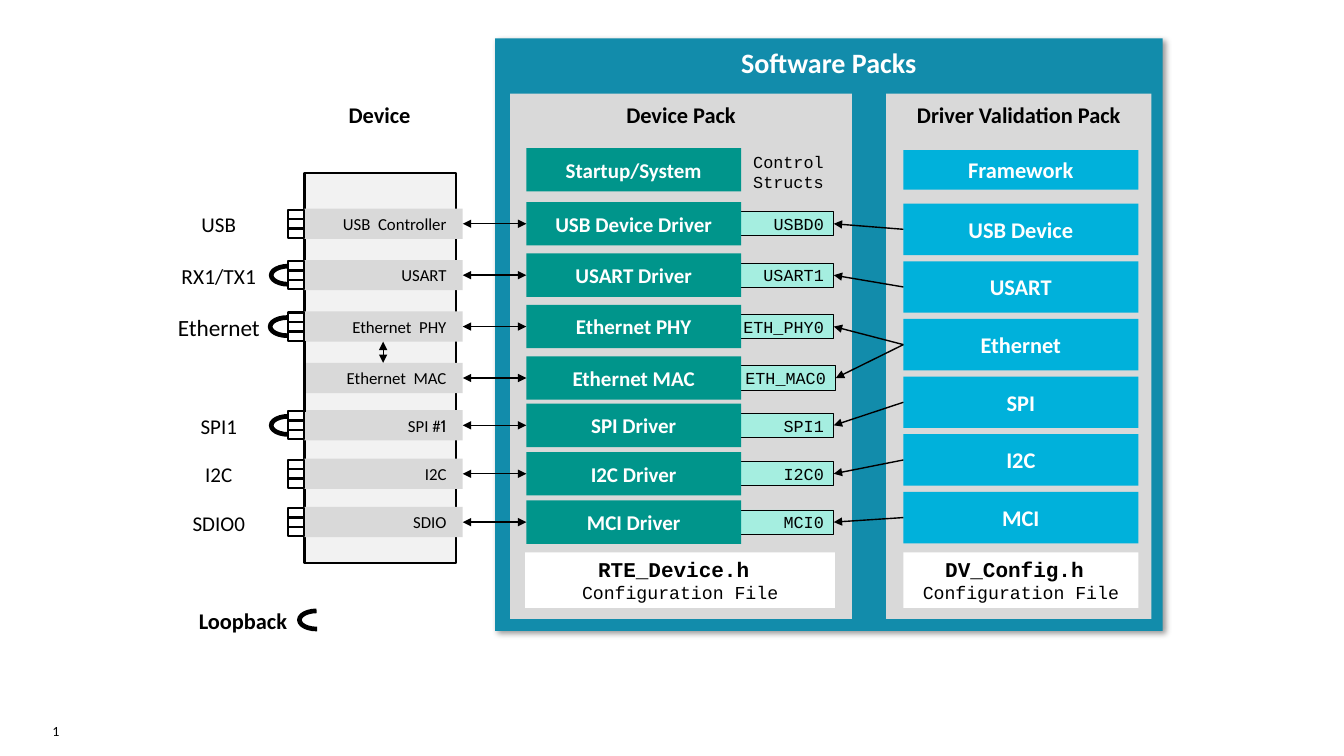
from copy import deepcopy

from lxml import etree
from pptx import Presentation
from pptx.dml.color import RGBColor
from pptx.enum.shapes import MSO_CONNECTOR, MSO_SHAPE
from pptx.enum.text import MSO_ANCHOR, PP_ALIGN
from pptx.oxml.ns import qn
from pptx.util import Inches, Pt

RECT, BLOCK, ARC = MSO_SHAPE.RECTANGLE, MSO_SHAPE.ROUNDED_RECTANGLE, MSO_SHAPE.ARC
STRAIGHT = MSO_CONNECTOR.STRAIGHT
LEFT, CENTER, RIGHT = PP_ALIGN.LEFT, PP_ALIGN.CENTER, PP_ALIGN.RIGHT
TOP, MIDDLE = MSO_ANCHOR.TOP, MSO_ANCHOR.MIDDLE

SANS, MONO, ALT = "Calibri", "Courier New", "Cabin"
BLACK, WHITE, GREY, PALE = "000000", "FFFFFF", "D9D9D9", "F2F2F2"
TEAL, GREEN, MINT, BLUE = "128CAB", "00958B", "A5EEE0", "00B1DB"

CELL = 0.1
PORT_X, PORT_W, PORT_H = 28.6, 1.6, 2.8
DEVICE_X, BAR_W, BAR_H = 30.2, 15.7, 3
DRIVER_X, DRIVER_W, DRIVER_H = 52.2, 21.3, 4.3
STRUCT_X, STRUCT_W, STRUCT_H = 72.5, 10.2, 2.4
TEST_X, TEST_W, TEST_H, TEST_Y, TEST_STEP = 89.6, 23.3, 5.1, 20.2, 5.72
CONFIG_Y, CONFIG_H = 54.8, 5.5
BLOCK_INSETS = (0.13, 0.07, 0.13, 0.07)

# row, port label, label size, loopback shift, peripheral, driver, struct, struct shift
CHANNELS = [
    (22.2, "USB", 15, None, "USB  Controller", "USB Device Driver", "USBD0", 0),
    (27.3, "RX1/TX1", 15.3, 0, "USART", "USART Driver", "USART1", 0),
    (32.4, "Ethernet", 16.6, -0.1, "Ethernet  PHY", "Ethernet PHY", "ETH_PHY0", 0),
    (37.5, None, 0, None, "Ethernet  MAC", "Ethernet MAC", "ETH_MAC0", 0.2),
    (42.2, "SPI1", 15, 0, [("SPI #", {}), ("1", {"font": ALT})], "SPI Driver", "SPI1", 0),
    (47, "I2C", 15, None, "I2C", "I2C Driver", "I2C0", 0),
    (51.8, "SDIO0", 15, None, "SDIO", "MCI Driver", "MCI0", 0),
]
TESTS = [("USB Device", [0]), ("USART", [1]), ("Ethernet", [2, 3]),
         ("SPI", [4]), ("I2C", [5]), ("MCI", [6])]


def cells(*lengths):
    """Turn grid cells into slide lengths."""
    return [Inches(length * CELL) for length in lengths]


def color(hex_code):
    """Turn a hex string into a colour."""
    return RGBColor.from_string(hex_code)


def write(shape, text, size=15, font=SANS, ink=BLACK, bold=False, align=CENTER,
          anchor=MIDDLE, insets=(0.1, 0.05, 0.1, 0.05), wrap=True):
    """Write text, or a list of (text, overrides) runs, into a shape."""
    frame = shape.text_frame
    frame.word_wrap, frame.vertical_anchor = wrap, anchor
    (frame.margin_left, frame.margin_top,
     frame.margin_right, frame.margin_bottom) = map(Inches, insets)
    runs = [(text, {})] if isinstance(text, str) else text
    paragraph = frame.paragraphs[0]
    paragraph.alignment = align
    for words, changes in runs:
        run = paragraph.add_run()
        run.text = words.rstrip("\n")
        run.font.size = Pt(changes.get("size", size))
        run.font.name = changes.get("font", font)
        run.font.bold = changes.get("bold", bold)
        run.font.color.rgb = color(ink)
        if words.endswith("\n"):
            paragraph.add_line_break()
            paragraph._p[-1].append(deepcopy(run._r.rPr))


def box(slide, x, y, w, h, fill=None, line=None, kind=RECT):
    """Draw a preset shape with an optional fill and outline width."""
    shape = slide.shapes.add_shape(kind, *cells(x, y, w, h))
    shape.shadow.inherit = False
    if kind == BLOCK:
        shape.adjustments[0] = 0
    if fill:
        shape.fill.solid()
        shape.fill.fore_color.rgb = color(fill)
    else:
        shape.fill.background()
    if line:
        shape.line.color.rgb = color(BLACK)
        shape.line.width = Pt(line)
    else:
        shape.line.fill.background()
    return shape


def block(slide, text, x, y, w, h, fill, **style):
    """Draw a square-cornered block with text."""
    shape = box(slide, x, y, w, h, fill, kind=BLOCK)
    write(shape, text, **{"insets": BLOCK_INSETS, "bold": True, **style})
    return shape


def label(slide, text, x, y, w, h, **style):
    """Place free text on the slide."""
    write(slide.shapes.add_textbox(*cells(x, y, w, h)), text, **style)


def link(slide, start, end, width=1, ends=()):
    """Draw a straight line with arrowheads at the named ends."""
    line = slide.shapes.add_connector(STRAIGHT, *cells(*start, *end))
    line.line.color.rgb = color(BLACK)
    line.line.width = Pt(width)
    outline = line.line._get_or_add_ln()
    for end_name in ends:
        etree.SubElement(outline, qn(f"a:{end_name}"), type="triangle")
    etree.SubElement(line._element.spPr, qn("a:effectLst"))


def cast_shadow(shape):
    """Give a shape a soft shadow to the lower right."""
    effects = shape._element.spPr.find(qn("a:effectLst"))
    outer = etree.SubElement(effects, qn("a:outerShdw"), blurRad=str(Pt(4)),
                             dist=str(Pt(3)), dir=str(45 * 60000), algn="tl")
    tint = etree.SubElement(outer, qn("a:srgbClr"), val=BLACK)
    etree.SubElement(tint, qn("a:alpha"), val="40000")


def loopback(slide, x, row):
    """Draw a loopback bow centred on a row."""
    bow = box(slide, x, row - 1.7, 1.8, 3.4, line=3.35, kind=ARC)
    bow.rotation = 270
    bow.adjustments[0], bow.adjustments[1] = 106.34, 0


def port(slide, row):
    """Draw a connector port with three slots."""
    top = row - PORT_H / 2
    box(slide, PORT_X, top, PORT_W, PORT_H, line=1.5)
    for slot in (1, 2):
        y = top + slot * PORT_H / 3
        link(slide, (PORT_X, y), (PORT_X + PORT_W, y), 1.75)


def channel(slide, row, name, size, bow, peripheral, driver, struct, shift):
    """Draw one row from the port to the control struct."""
    bar = box(slide, DEVICE_X, row - BAR_H / 2, BAR_W, BAR_H, GREY)
    write(bar, peripheral, size=12, align=RIGHT, insets=(0.1, 0.05, 0.16, 0.05))
    tag = box(slide, STRUCT_X + shift, row - STRUCT_H / 2, STRUCT_W, STRUCT_H, MINT, 0.5)
    write(tag, struct, size=12, font=MONO, align=RIGHT)
    block(slide, driver, DRIVER_X, row - DRIVER_H / 2, DRIVER_W, DRIVER_H, GREEN,
          ink=WHITE, wrap=False)
    link(slide, (DRIVER_X, row), (DEVICE_X + BAR_W, row), ends=("headEnd", "tailEnd"))
    if name:
        port(slide, row)
        label(slide, name, 17.4, row - 1.4, 8.6, 2.9, size=size, insets=(0, 0, 0, 0))
    if bow is not None:
        loopback(slide, 27.7 + bow, row)


def config_file(slide, name, x, w):
    """Draw the block for a configuration file."""
    lines = [(f"{name} \n", {}), ("Configuration File", {"size": 13, "bold": False})]
    block(slide, lines, x, CONFIG_Y, w, CONFIG_H, WHITE, font=MONO, wrap=False)


def device_side(slide):
    """Draw the device, its channels and the device pack contents."""
    block(slide, "Startup/System", DRIVER_X, 14.7, DRIVER_W, DRIVER_H, GREEN,
          ink=WHITE, wrap=False)
    label(slide, [("Control\n", {}), ("Structs", {})], 73.1, 14.7, 10.2, 4.7,
          size=12, font=MONO)
    for details in CHANNELS:
        channel(slide, *details)
    link(slide, (38, 36), (38, 33.9), 0.75, ("headEnd", "tailEnd"))
    link(slide, (DEVICE_X, 33.8), (DEVICE_X, 40.9), 1.75)
    config_file(slide, "RTE_Device.h", 52.1, 30.7)
    label(slide, "Device", 27.8, 9, 19.7, 4.7, size=16, bold=True)
    label(slide, "Loopback", 17.5, 59.2, 13.2, 4.7, size=16, bold=True)
    loopback(slide, 30.5, 61.5)


def validation_side(slide):
    """Draw the validation tests and their arrows to the structs."""
    style = {"size": 16, "ink": WHITE, "wrap": False}
    block(slide, "Framework", TEST_X, 14.9, TEST_W, 3.9, BLUE, **style)
    for index, (test, targets) in enumerate(TESTS):
        top = TEST_Y + index * TEST_STEP
        block(slide, test, TEST_X, top, TEST_W, TEST_H, BLUE, **style)
        for target in targets:
            row, shift = CHANNELS[target][0], CHANNELS[target][-1]
            link(slide, (TEST_X, top + TEST_H / 2),
                 (STRUCT_X + STRUCT_W + shift, row), ends=("tailEnd",))
    config_file(slide, "DV_Config.h", TEST_X, TEST_W)


def main():
    """Build the slide and save it."""
    deck = Presentation()
    deck.slide_width, deck.slide_height = Inches(13.33), Inches(7.5)
    slide = deck.slides.add_slide(deck.slide_layouts[6])
    label(slide, "1", 5.2, 71.7, 14.3, 2.6, size=10, align=LEFT, anchor=TOP,
          insets=(0, 0, 0.1, 0))
    box(slide, DEVICE_X, 17.2, 15, 38.7, PALE, 1.5)
    packs = block(slide, "Software Packs", 49.1, 3.8, 66.2, 58.8, TEAL,
                  size=20, ink=WHITE, anchor=TOP)
    cast_shadow(packs)
    for pack, x, w in (("Device Pack", 50.6, 33.9), ("Driver Validation Pack", 87.9, 26.3)):
        block(slide, pack, x, 9.3, w, 52.1, GREY, size=16, anchor=TOP)
    device_side(slide)
    validation_side(slide)
    deck.save("out.pptx")


main()
